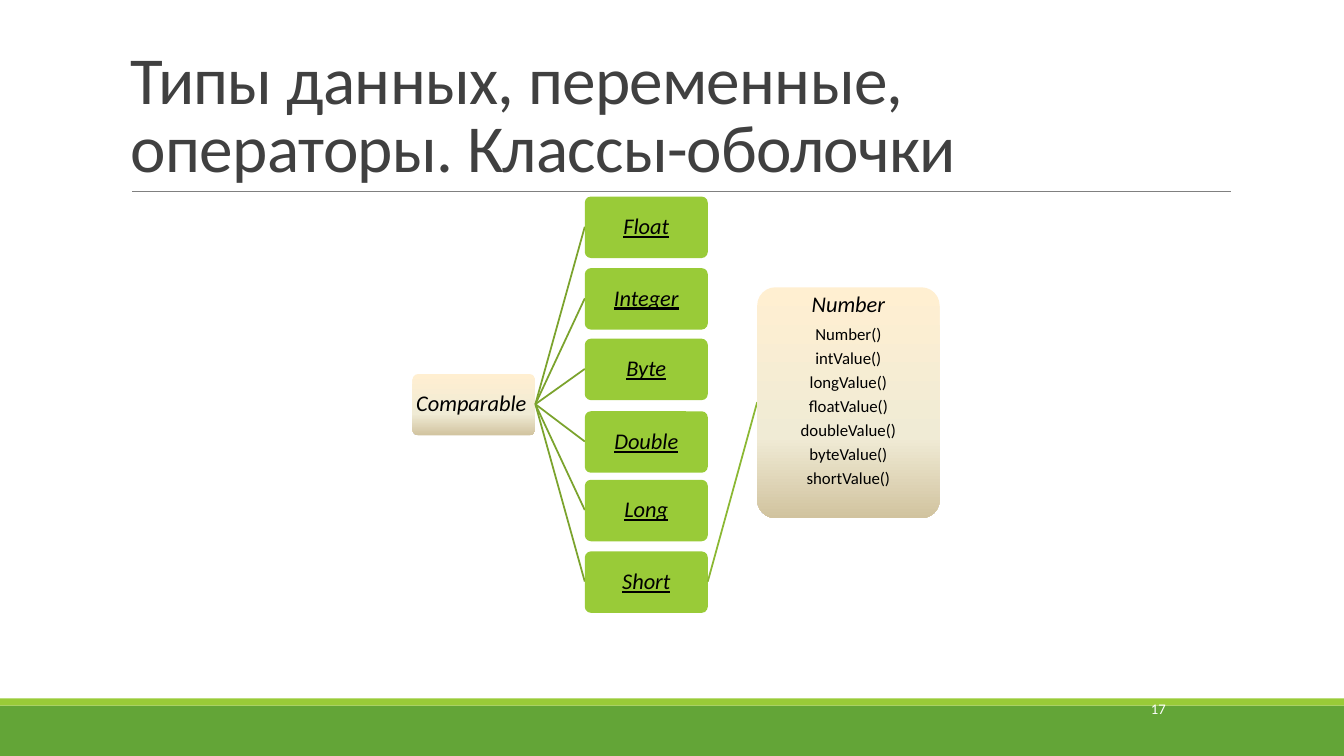
import copy
import pptx
import pptx.dml.color
import pptx.enum.shapes
import pptx.enum.text
import pptx.oxml
import pptx.util

PX = 9144
HUES = {"green": "63A537", "lime": "99CB38", "rule": "808080", "title": "404040",
        "white": "FFFFFF", "black": "000000", "link": "7BA32D", "out": "8BB833"}
SAND = [(0, "FFEFD1"), (0.65, "F0EBD5"), (1, "D1C39F")]
KINDS = {"Float": 0, "Integer": 71, "Byte": 141, "Double": 213, "Long": 281, "Short": 352}
CALLS = ["Number()", "intValue()", "longValue()", "floatValue()",
         "doubleValue()", "byteValue()", "shortValue()"]
SHAPE = pptx.enum.shapes.MSO_SHAPE
ANCHOR = pptx.enum.text.MSO_ANCHOR
ALIGN = pptx.enum.text.PP_ALIGN


def rgb(text):
    """Turn a hex string into a colour."""
    return pptx.dml.color.RGBColor.from_string(text)


def place(box):
    """Turn px lengths into EMU."""
    return [n * PX for n in box]


def style(item, **values):
    """Set attributes from format values."""
    for name, value in values.items():
        setattr(item, name, value)


def write(shape, lines, align, anchor, space, pad, hue):
    """Fill a shape with paragraphs given as text and font values."""
    frame = shape.text_frame
    left, top, right, low = place(pad)
    style(frame, word_wrap=True, vertical_anchor=anchor, margin_left=left,
          margin_top=top, margin_right=right, margin_bottom=low)
    for i, (text, font) in enumerate(lines):
        para = frame.add_paragraph() if i else frame.paragraphs[0]
        size = pptx.util.Pt(font["size"])
        style(para, alignment=align, line_spacing=space)
        run = para.add_run()
        run.text = text
        style(run.font, **{**font, "name": "Calibri", "size": size})
        run.font.color.rgb = rgb(HUES[hue])
        yield para, run


def block(slide, kind, box, hue=None):
    """Draw a plain shape, in sand shades when no hue is given."""
    shape = slide.shapes.add_shape(kind, *place(box))
    shape.shadow.inherit = False
    shape.line.fill.background()
    if hue:
        shape.fill.solid()
        shape.fill.fore_color.rgb = rgb(HUES[hue])
        return shape
    shape.fill.gradient()
    shape.fill.gradient_angle = 270
    stops = shape.element.xpath(".//a:gsLst")[0]
    stops.append(copy.deepcopy(stops[0]))
    for stop, (spot, tint) in zip(shape.fill.gradient_stops, SAND):
        stop.position = spot
        stop.color.rgb = rgb(tint)
    return shape


def link(slide, start, end, hue, width):
    """Draw a straight line between two points."""
    line = slide.shapes.add_connector(
        pptx.enum.shapes.MSO_CONNECTOR.STRAIGHT, *place(start + end))
    line.line.color.rgb = rgb(HUES[hue])
    line.line.width = pptx.util.Pt(width)
    line.element.spPr.append(pptx.oxml.parse_xml(
        '<a:effectLst xmlns:a="http://schemas.openxmlformats.org/drawingml/2006/main"/>'))


def node(slide, box, lines, hue=None, low=1):
    """Draw a rounded box of the tree with its text."""
    shape = block(slide, SHAPE.ROUNDED_RECTANGLE, box, hue)
    shape.adjustments[0] = 0.1
    for para, run in write(shape, lines, ALIGN.CENTER, ANCHOR.MIDDLE, 0.9,
                           (1, 1, 1, low), "black"):
        para.space_after = pptx.util.Pt(round(run.font.size.pt * 0.35, 1))


def head(slide, box):
    """Place the title and the rule under it."""
    left, top, wide, high = box
    shape = slide.shapes.add_textbox(*place(box))
    text = "Типы данных, переменные, операторы. Классы-оболочки"
    for _, run in write(shape, [(text, {"size": 48})], ALIGN.LEFT,
                        ANCHOR.BOTTOM, 0.85, (10, 5, 10, 5), "title"):
        run.font._element.set("spc", "-50")
    base = top + high
    link(slide, (left + 11, base), (left + wide + 1, base), "rule", 0.5)


def foot(slide, box):
    """Place the two bands and the page number."""
    left, top, wide, high = box
    block(slide, SHAPE.RECTANGLE, (left, top + 7, wide, high - 7), "green")
    block(slide, SHAPE.RECTANGLE, (left, top, wide, 7), "lime")
    shape = slide.shapes.add_textbox(*place((left + 1058, top - 10, 108, 40)))
    list(write(shape, [("17", {"size": 10.5})], ALIGN.RIGHT, ANCHOR.MIDDLE,
               1, (10, 5, 10, 5), "white"))


def tree(slide, box):
    """Place the class tree from left to right."""
    left, top, wide, high = box
    w, h, gap = 122, 61, 49
    mid = top + high // 2
    kids = left + w + gap
    last = kids + w + gap
    name = {"size": 16, "italic": True}
    node(slide, (left, mid - h // 2, w, h), [("Comparable ", name)])
    for text, drop in KINDS.items():
        y = top + drop
        link(slide, (left + w, mid), (kids, y + h // 2), "link", 1.25)
        node(slide, (kids, y, w, h), [(text, {**name, "underline": True})], "lime")
    link(slide, (kids + w, y + h // 2), (last, top + 204), "out", 1.25)
    lines = [("Number", name)] + [(call, {"size": 12}) for call in CALLS]
    node(slide, (last, top + 90, left + wide - last, 229), lines, low=25)


def main():
    """Build the slide and save it."""
    deck = pptx.Presentation()
    style(deck, slide_width=1333 * PX, slide_height=750 * PX)
    slide = deck.slides.add_slide(deck.slide_layouts[6])
    foot(slide, (0, 693, 1333, 57))
    head(slide, (120, 31, 1100, 159))
    tree(slide, (409, 195, 523, 413))
    deck.save("out.pptx")


if __name__ == "__main__":
    main()
